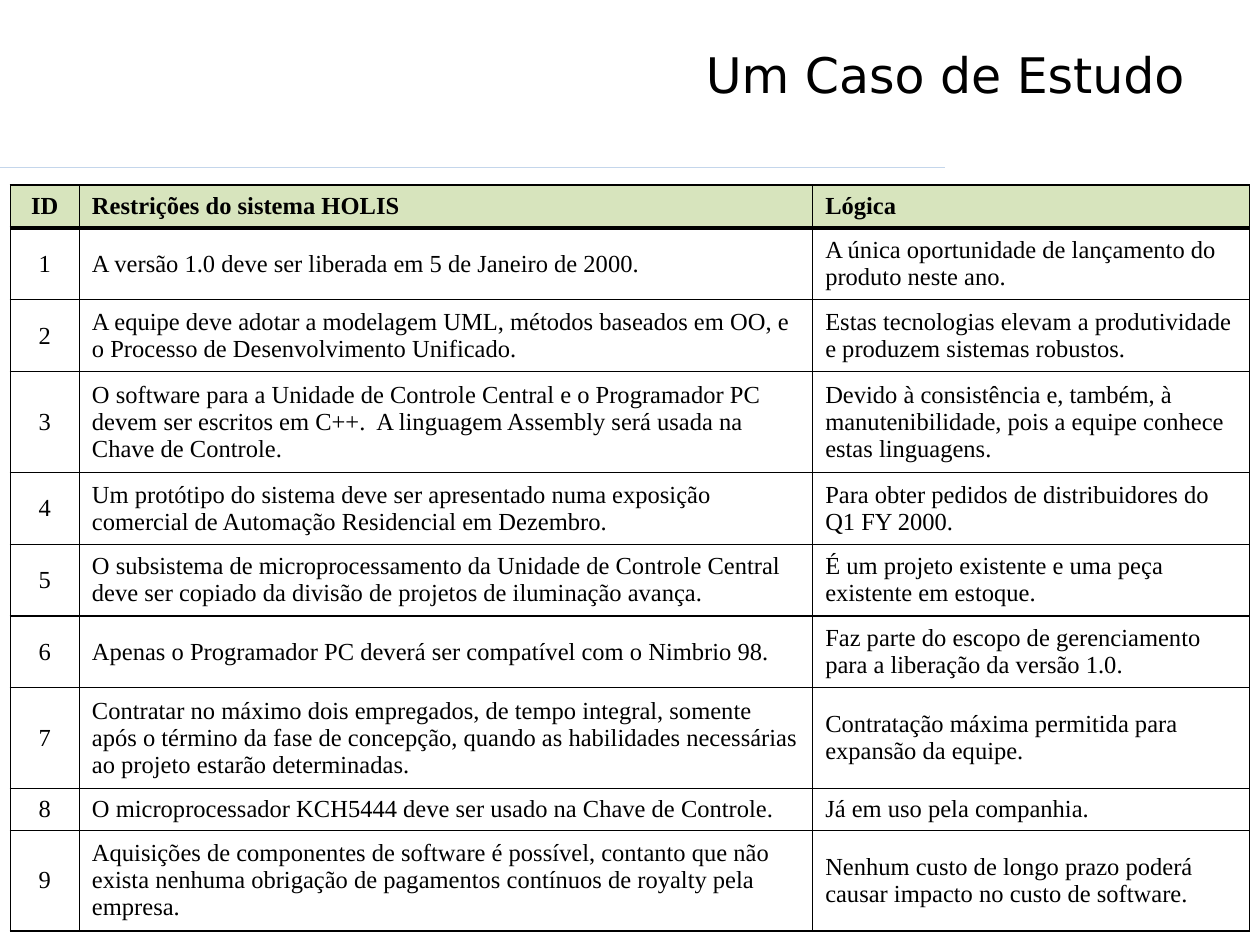
from dataclasses import dataclass
from typing import Any

from lxml import etree
from pptx import Presentation
from pptx import util as u
from pptx.dml.color import RGBColor
from pptx.enum import shapes, text
from pptx.oxml.ns import qn

BLACK = RGBColor(0x00, 0x00, 0x00)
HEADER_GREEN = RGBColor(0xD7, 0xE4, 0xBD)
RULE_BLUE = RGBColor(0xC4, 0xD6, 0xEB)

WIDTH, HEIGHT = u.Inches(10), u.Inches(7.5)
THIN, OUTER, HEAVY = 0.75, 1, 3  # border widths in points

HEADINGS = ("ID", "Restrições do sistema HOLIS", "Lógica")
CONSTRAINTS = [
    ("A versão 1.0 deve ser liberada em 5 de Janeiro de 2000.",
     "A única oportunidade de lançamento do produto neste ano."),
    ("A equipe deve adotar a modelagem UML, métodos baseados em OO, e o Processo de "
     "Desenvolvimento Unificado.",
     "Estas tecnologias elevam a produtividade e produzem sistemas robustos."),
    ("O software para a Unidade de Controle Central e o Programador PC devem ser escritos "
     "em C++.  A linguagem Assembly será usada na Chave de Controle.",
     "Devido à consistência e, também, à manutenibilidade, pois a equipe conhece estas "
     "linguagens."),
    ("Um protótipo do sistema deve ser apresentado numa exposição comercial de Automação "
     "Residencial em Dezembro.",
     "Para obter pedidos de distribuidores do Q1 FY 2000."),
    ("O subsistema de microprocessamento da Unidade de Controle Central deve ser copiado "
     "da divisão de projetos de iluminação avança.",
     "É um projeto existente e uma peça existente em estoque."),
    ("Apenas o Programador PC deverá ser compatível com o Nimbrio 98.",
     "Faz parte do escopo de gerenciamento para a liberação da versão 1.0."),
    ("Contratar no máximo dois empregados, de tempo integral, somente após o término da "
     "fase de concepção, quando as habilidades necessárias ao projeto estarão determinadas.",
     "Contratação máxima permitida para expansão da equipe."),
    ("O microprocessador KCH5444 deve ser usado na Chave de Controle.",
     "Já em uso pela companhia."),
    ("Aquisições de componentes de software é possível, contanto que não exista nenhuma "
     "obrigação de pagamentos contínuos de royalty pela empresa.",
     "Nenhum custo de longo prazo poderá causar impacto no custo de software."),
]
COLUMN_WIDTHS = (0.55, 5.82, 3.47)
ROW_HEIGHTS = (0.34, 0.57, 0.57, 0.8, 0.57, 0.57, 0.57, 0.8, 0.33, 0.8)


def write(frame, words, *, font, size, bold=False, align=text.PP_ALIGN.LEFT):
    """Fill a text frame with one formatted paragraph."""
    paragraph = frame.paragraphs[0]
    paragraph.alignment = align
    run = paragraph.add_run()
    run.text = words
    run.font.name, run.font.size, run.font.bold = font, u.Pt(size), bold
    run.font.color.rgb = BLACK


def set_borders(cell, **widths):
    """Draw the cell's sides; L, R, T and B give widths in points."""
    properties = cell._tc.get_or_add_tcPr()
    for side in "LRTB":
        line = etree.SubElement(properties, qn(f"a:ln{side}"), w=str(u.Pt(widths.get(side, THIN))))
        fill = etree.SubElement(line, qn("a:solidFill"))
        etree.SubElement(fill, qn("a:srgbClr"), val=str(BLACK))


@dataclass
class SlideBuilder:
    slide: Any
    title_font: str = "DejaVu Sans"
    table_font: str = "Times New Roman"
    title_size: int = 28
    table_size: int = 14

    def title(self, words, left, top, width, height):
        heading = self.slide.shapes.title
        heading.left, heading.top = int(WIDTH * left), int(HEIGHT * top)
        heading.width, heading.height = int(WIDTH * width), int(HEIGHT * height)
        heading.text_frame.vertical_anchor = text.MSO_ANCHOR.TOP
        write(heading.text_frame, words, font=self.title_font, size=self.title_size,
              align=text.PP_ALIGN.RIGHT)

    def rule(self, start, end, level):
        y = int(HEIGHT * level)
        line = self.slide.shapes.add_connector(
            shapes.MSO_CONNECTOR.STRAIGHT, int(WIDTH * start), y, int(WIDTH * end), y)
        line.line.color.rgb, line.line.width = RULE_BLUE, u.Pt(THIN)
        etree.SubElement(line._element.spPr, qn("a:effectLst"))

    def table(self, rows, left, top):
        grid = self.slide.shapes.add_table(
            len(rows), len(COLUMN_WIDTHS), int(WIDTH * left), int(HEIGHT * top),
            u.Inches(sum(COLUMN_WIDTHS)), u.Inches(sum(ROW_HEIGHTS))).table
        for column, width in zip(grid.columns, COLUMN_WIDTHS):
            column.width = u.Inches(width)
        for row, height in zip(grid.rows, ROW_HEIGHTS):
            row.height = u.Inches(height)
        for r, row in enumerate(rows):
            for c, words in enumerate(row):
                self.cell(grid.cell(r, c), words, r, c, last=len(rows) - 1)

    def cell(self, cell, words, row, column, last):
        header = row == 0
        above = {0: OUTER, 1: HEAVY}.get(row, THIN)
        below = {0: HEAVY, last: OUTER}.get(row, THIN)
        set_borders(cell, T=above, B=below)
        if header:
            cell.fill.solid()
            cell.fill.fore_color.rgb = HEADER_GREEN
        else:
            cell.fill.background()
        cell.vertical_anchor = text.MSO_ANCHOR.MIDDLE
        write(cell.text_frame, words, font=self.table_font, size=self.table_size, bold=header,
              align=text.PP_ALIGN.LEFT if column else text.PP_ALIGN.CENTER)


def main():
    deck = Presentation()
    deck.slide_width, deck.slide_height = WIDTH, HEIGHT
    builder = SlideBuilder(deck.slides.add_slide(deck.slide_layouts[5]))

    # Heading and the rule under it
    builder.rule(0, 0.75, 0.177)
    builder.title("Um Caso de Estudo", 0.05, 0.04, 0.9, 0.167)

    # Numbered constraints with their rationale
    numbered = [(str(n), *pair) for n, pair in enumerate(CONSTRAINTS, 1)]
    builder.table([HEADINGS, *numbered], 0.008, 0.196)

    deck.save("out.pptx")


if __name__ == "__main__":
    main()
